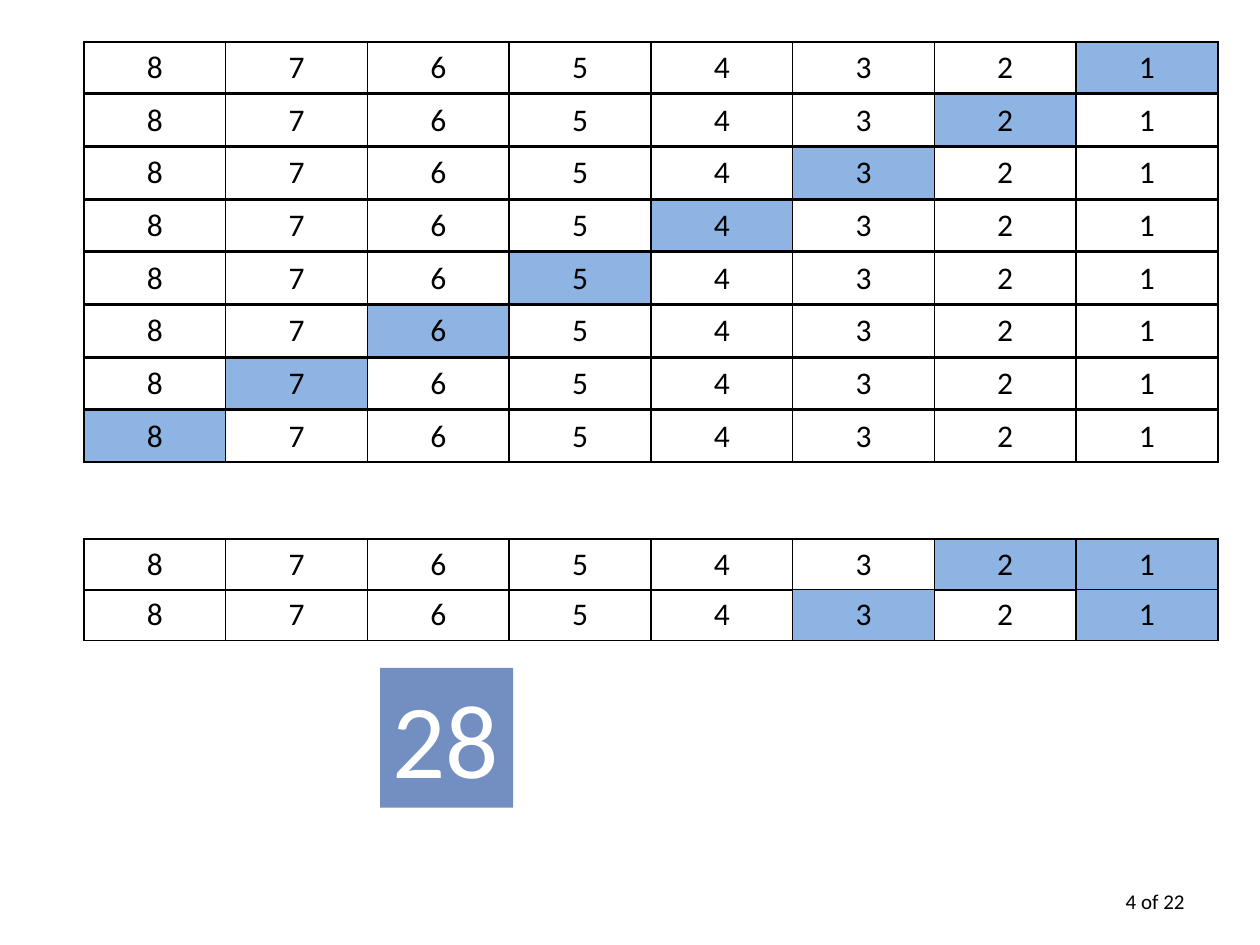
import pptx
import pptx.dml.color
import pptx.enum.shapes
import pptx.enum.text
import pptx.oxml
import pptx.oxml.ns
import pptx.util

Pt = pptx.util.Pt
ALIGN = pptx.enum.text.PP_ALIGN
ANCHOR = pptx.enum.text.MSO_ANCHOR
BITS = range(8, 0, -1)


def color(hex_value):
    return pptx.dml.color.RGBColor.from_string(hex_value)


def write(frame, text, size=18, ink="000000", font="Calibri", align=ALIGN.LEFT):
    paragraph = frame.paragraphs[0]
    paragraph.alignment = align
    run = paragraph.add_run()
    run.text = text
    run.font.name = font
    run.font.size = Pt(size)
    run.font.color.rgb = color(ink)


class BitSlide:
    ink = "000000"
    highlight = "8EB4E3"
    badge = "738EC1"
    left = 48
    width = 648
    row_height = 29.2

    def __init__(self, slide):
        self.slide = slide

    def border(self, cell):
        properties = cell._tc.get_or_add_tcPr()
        for side in ("lnL", "lnR", "lnT", "lnB"):
            properties.append(pptx.oxml.parse_xml(
                f'<a:{side} {pptx.oxml.ns.nsdecls("a")} w="{Pt(1)}">'
                f'<a:solidFill><a:srgbClr val="{self.ink}"/></a:solidFill>'
                f'</a:{side}>'))

    def bit_row(self, top, selected):
        """Draw bits 8 to 1 as a one-row table, with the selected ones coloured."""
        table = self.slide.shapes.add_table(
            1, len(BITS), Pt(self.left), Pt(top),
            Pt(self.width), Pt(self.row_height)).table
        table.first_row = table.horz_banding = False
        for cell, bit in zip(table.iter_cells(), BITS):
            self.border(cell)
            if bit in selected:
                cell.fill.solid()
                cell.fill.fore_color.rgb = color(self.highlight)
            else:
                cell.fill.background()
            write(cell.text_frame, str(bit), ink=self.ink, align=ALIGN.CENTER)

    def number_badge(self, text, left, top, width, height):
        badge = self.slide.shapes.add_shape(
            pptx.enum.shapes.MSO_SHAPE.RECTANGLE,
            Pt(left), Pt(top), Pt(width), Pt(height))
        badge.shadow.inherit = False
        badge.fill.solid()
        badge.fill.fore_color.rgb = color(self.badge)
        badge.line.fill.background()
        frame = badge.text_frame
        frame.word_wrap = False
        frame.auto_size = pptx.enum.text.MSO_AUTO_SIZE.SHAPE_TO_FIT_TEXT
        frame.vertical_anchor = ANCHOR.TOP
        write(frame, text, size=60, ink="FFFFFF")

    def page_number(self, text, left, top, width, height):
        frame = self.slide.shapes.add_textbox(
            Pt(left), Pt(top), Pt(width), Pt(height)).text_frame
        frame.word_wrap = True
        frame.vertical_anchor = ANCHOR.MIDDLE
        write(frame, text, size=12, ink=self.ink, align=ALIGN.RIGHT)


def main():
    deck = pptx.Presentation()
    deck.slide_width, deck.slide_height = Pt(720), Pt(540)
    bits = BitSlide(deck.slides.add_slide(deck.slide_layouts[6]))

    for step in range(len(BITS)):
        bits.bit_row(24 + 30.1 * step, {step + 1})
    for top, selected in ((308, {1, 2}), (336.8, {1, 3})):
        bits.bit_row(top, selected)

    bits.number_badge("28", 217.2, 381.6, 76, 80)
    bits.page_number("4 of 22", 516, 500.4, 168, 28.8)
    deck.save("out.pptx")


if __name__ == "__main__":
    main()
